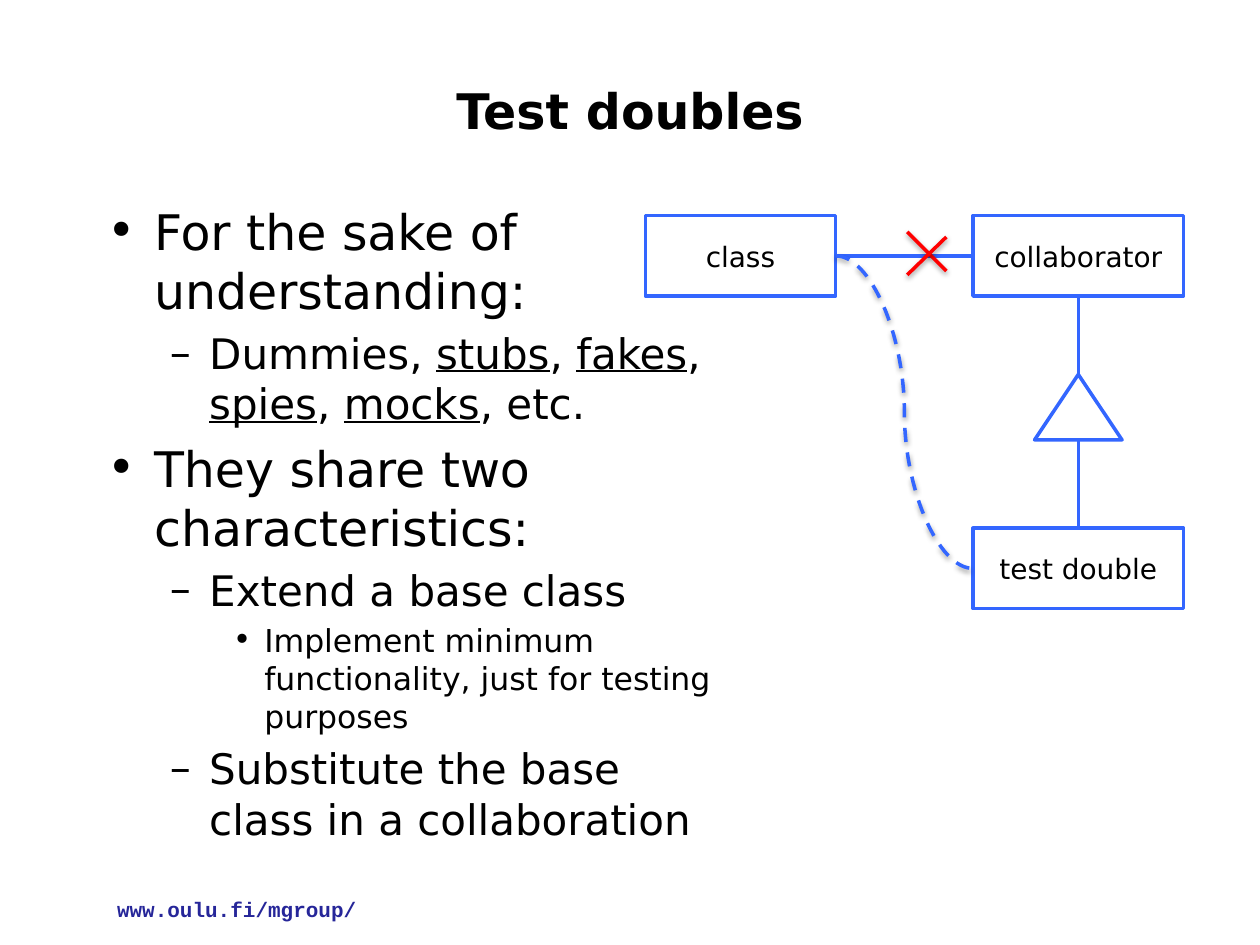
from lxml import etree
from pptx import Presentation
from pptx.dml.color import RGBColor
from pptx.enum.dml import MSO_LINE
from pptx.enum.shapes import MSO_CONNECTOR, MSO_SHAPE
from pptx.enum.text import MSO_ANCHOR, PP_ALIGN
from pptx.oxml.ns import qn
from pptx.util import Pt

STRAIGHT, CURVE = MSO_CONNECTOR.STRAIGHT, MSO_CONNECTOR.CURVE
RECTANGLE, TRIANGLE = MSO_SHAPE.RECTANGLE, MSO_SHAPE.ISOSCELES_TRIANGLE
CENTER, LEFT, MIDDLE, TOP = PP_ALIGN.CENTER, PP_ALIGN.LEFT, MSO_ANCHOR.MIDDLE, MSO_ANCHOR.TOP
DASH = MSO_LINE.DASH

COLORS = {"text": "000000", "paper": "FFFFFF", "line": "3366FF",
          "cross": "FF0000", "address": "262699"}
FONT = "DejaVu Sans"

# Connection sites of a rectangle
SITE_TOP, SITE_LEFT, SITE_BOTTOM, SITE_RIGHT = range(4)

# Per level: bullet, size, left margin and hanging indent in points
LEVELS = [("•", 28, 27, -27), ("–", 24, 58.5, -22.5), ("•", 18, 90, -18)]

# Level and runs; every second run is underlined
POINTS = [
    (0, ["For the sake of understanding:"]),
    (1, ["Dummies, ", "stubs", ", ", "fakes", ", ", "spies", ", ", "mocks", ", etc."]),
    (0, ["They share two characteristics:"]),
    (1, ["Extend a base class"]),
    (2, ["Implement minimum functionality, just for testing purposes"]),
    (1, ["Substitute the base class in a collaboration"]),
]


def color(name):
    return RGBColor.from_string(COLORS[name])


def set_font(font, size, color_name="text", **values):
    font.color.rgb = color(color_name)
    for name, value in {"name": FONT, "size": Pt(size), **values}.items():
        setattr(font, name, value)


def add_text_box(slide, box, wrap=True, anchor=TOP):
    frame = slide.shapes.add_textbox(*map(Pt, box)).text_frame
    frame.word_wrap = wrap
    frame.vertical_anchor = anchor
    return frame


def add_line_of_text(slide, box, text, size, align=LEFT, wrap=True, **values):
    paragraph = add_text_box(slide, box, wrap, MIDDLE).paragraphs[0]
    paragraph.text = text
    paragraph.alignment = align
    set_font(paragraph.font, size, **values)


def set_bullet(paragraph, character, margin, indent):
    properties = paragraph._p.get_or_add_pPr()
    properties.set("marL", str(Pt(margin)))
    properties.set("indent", str(Pt(indent)))
    etree.SubElement(properties, qn("a:buFont")).set("typeface", FONT)
    etree.SubElement(properties, qn("a:buChar")).set("char", character)


def add_points(slide, box):
    frame = add_text_box(slide, box)
    for index, (level, texts) in enumerate(POINTS):
        character, size, margin, indent = LEVELS[level]
        paragraph = frame.add_paragraph() if index else frame.paragraphs[0]
        paragraph.level = level
        set_bullet(paragraph, character, margin, indent)
        if index:
            paragraph.space_before = Pt(size * 0.2)
        set_font(paragraph.font, size)
        for position, text in enumerate(texts):
            run = paragraph.add_run()
            run.text = text
            set_font(run.font, size, underline=position % 2 == 1)


def add_node(slide, kind, box, label=""):
    shape = slide.shapes.add_shape(kind, *map(Pt, box))
    shape.shadow.inherit = False
    shape.fill.solid()
    shape.fill.fore_color.rgb = color("paper")
    shape.line.color.rgb = color("line")
    shape.line.width = Pt(2)
    if label:
        frame = shape.text_frame
        frame.vertical_anchor = MIDDLE
        paragraph = frame.paragraphs[0]
        paragraph.text = label
        paragraph.alignment = CENTER
        set_font(paragraph.font, 16)
    return shape


def add_line(slide, ends=(0, 0, 0, 0), kind=STRAIGHT, color_name="line", shadow=False):
    line = slide.shapes.add_connector(kind, *map(Pt, ends))
    line.line.color.rgb = color(color_name)
    line.line.width = Pt(2)
    effects = etree.SubElement(line._element.spPr, qn("a:effectLst"))
    if shadow:
        outer = etree.SubElement(effects, qn("a:outerShdw"), blurRad=str(Pt(3.1)),
                                 dist=str(Pt(1.6)), dir="5400000", rotWithShape="0")
        black = etree.SubElement(outer, qn("a:srgbClr"), val="000000")
        etree.SubElement(black, qn("a:alpha"), val="38000")
    return line


def connect(slide, start, start_site, end, end_site, **style):
    line = add_line(slide, **style)
    line.begin_connect(start, start_site)
    line.end_connect(end, end_site)
    return line


def add_class_diagram(slide, box):
    left, top, width, height = box
    node_height, column_width = 46, 120.4
    column = left + width - column_width
    center = column + column_width / 2
    triangle_top, triangle_height = top + 90.8, 37.4
    double_top = top + height - node_height

    tested = add_node(slide, RECTANGLE, (left, top, 108.8, node_height), "class")
    collaborator = add_node(slide, RECTANGLE, (column, top, column_width, node_height),
                            "collaborator")
    triangle = add_node(slide, TRIANGLE, (center - 25, triangle_top, 50, triangle_height))
    double = add_node(slide, RECTANGLE, (column, double_top, column_width, node_height),
                      "test double")

    connect(slide, collaborator, SITE_BOTTOM, triangle, SITE_TOP)
    connect(slide, tested, SITE_RIGHT, collaborator, SITE_LEFT)
    add_line(slide, (center, triangle_top + triangle_height, center, double_top))
    substitution = connect(slide, tested, SITE_RIGHT, double, SITE_LEFT,
                           kind=CURVE, shadow=True)
    substitution.line.dash_style = DASH
    add_cross(slide, (left + 149.6, top + 9.3, 22.4, 24.6))


def add_cross(slide, box):
    left, top, width, height = box
    right, bottom = left + width, top + height
    for ends in [(left, top, right, bottom - 2.2), (left, bottom, right, top + 2.9)]:
        add_line(slide, ends, color_name="cross", shadow=True)


def main():
    presentation = Presentation()
    presentation.slide_width, presentation.slide_height = Pt(720), Pt(540)
    slide = presentation.slides.add_slide(presentation.slide_layouts[6])
    add_line_of_text(slide, (59.8, 509, 153.4, 21.6), "www.oulu.fi/mgroup/", 12, wrap=False,
                     color_name="address", name="Courier New", bold=True)
    add_line_of_text(slide, (54, 18, 612, 90), "Test doubles", 28, CENTER, bold=True)
    add_points(slide, (54, 111.6, 360, 368.6))
    add_class_diagram(slide, (368.8, 123.2, 307.6, 224.6))
    presentation.save("out.pptx")


if __name__ == "__main__":
    main()
